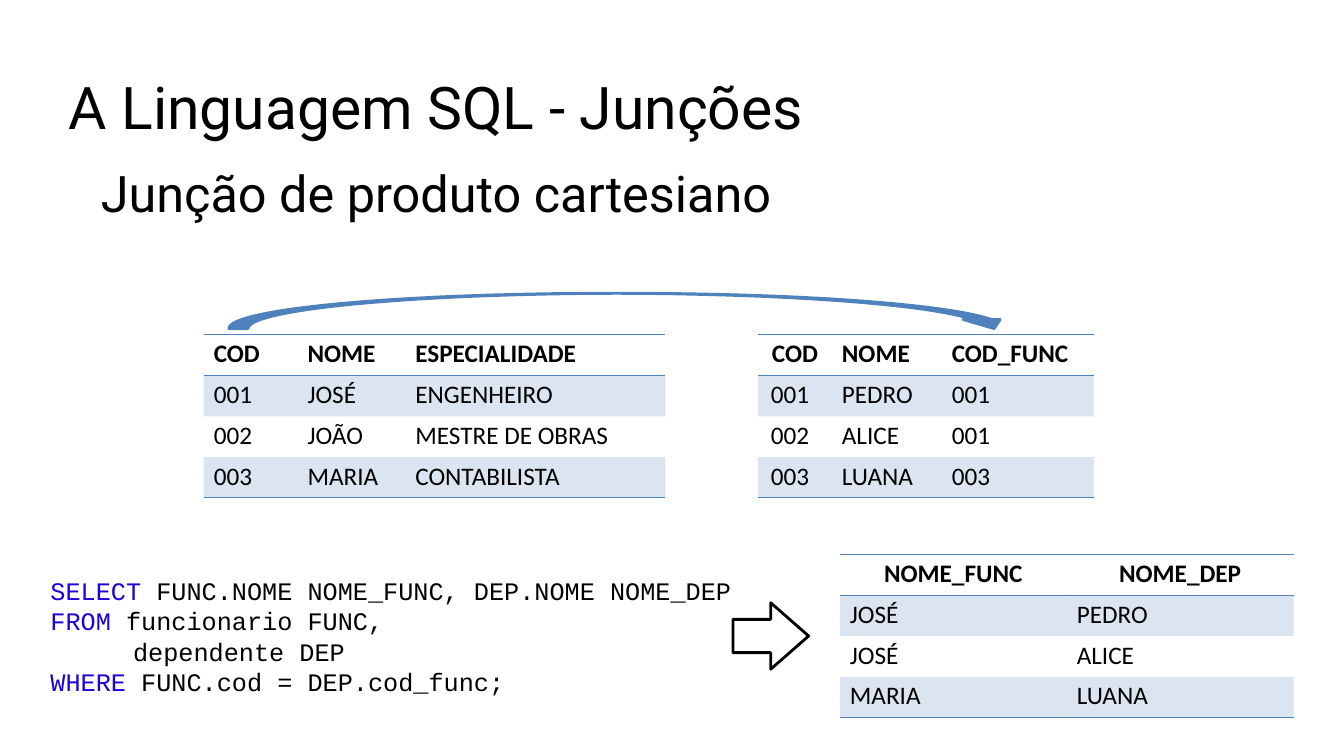
"""Builds the slide on SQL joins with its two source tables, query and result."""
import math
from lxml import etree
from pptx import Presentation
from pptx import util as u
from pptx.dml.color import RGBColor
from pptx.enum import shapes, text
from pptx.oxml import parse_xml
from pptx.oxml.ns import nsdecls, qn

TITLE = "Junção de produto cartesiano"
TOPIC = "A Linguagem SQL - Junções"
QUERY = [
    (0.01, "SELECT", " FUNC.NOME NOME_FUNC, DEP.NOME NOME_DEP"),
    (0.01, "FROM", " funcionario FUNC,"),
    (0.83, "", "dependente DEP"),
    (0.01, "WHERE", " FUNC.cod = DEP.cod_func;"),
]
TABLES = [
    dict(at=(2.02, 3.32), cols=(0.93, 1.07, 2.58), centred_cols=(), centred_head=False, rows=[
        ("COD", "NOME", "ESPECIALIDADE"),
        ("001", "JOSÉ", "ENGENHEIRO"),
        ("002", "JOÃO", "MESTRE DE OBRAS"),
        ("003", "MARIA", "CONTABILISTA")]),
    dict(at=(7.52, 3.32), cols=(0.73, 1.09, 1.51), centred_cols=(0,), centred_head=False, rows=[
        ("COD", "NOME", "COD_FUNC"),
        ("001", "PEDRO", "001"),
        ("002", "ALICE", "001"),
        ("003", "LUANA", "003")]),
    dict(at=(8.33, 5.5), cols=(2.25, 2.25), centred_cols=(), centred_head=True, rows=[
        ("NOME_FUNC", "NOME_DEP"),
        ("JOSÉ", "PEDRO"),
        ("JOSÉ", "ALICE"),
        ("MARIA", "LUANA")]),
]
THEME = dict(
    ink="000000", accent="4F81BD", keyword="1B01DD", paper="FFFFFF", band_alpha=20,
    title=("Roboto", 36), topic=("Roboto", 42), code=("Courier New", 18), cell=("Calibri", 18),
)
COLUMNS, ROWS = 13.33, 7.5
TABLE_HEIGHT = 1.62
ARC = dict(left=2.27, top=2.91, base=3.26, radius=3.75, shift=0.19, stop=15, step=3)
ARC_TIP = [(9.92, 3.17), (9.86, 3.26), (9.55, 3.17)]

prs = Presentation()
prs.slide_width, prs.slide_height = u.Inches(COLUMNS), u.Inches(ROWS)
slide = prs.slides.add_slide(prs.slide_layouts[5])


def put(obj, **values):
    for name, value in values.items():
        setattr(obj, name, value)


def grid(*cells):
    return [u.Inches(c) for c in cells]


def add_run(p, words, font, colour=THEME["ink"], bold=False):
    r = p.add_run()
    r.text = words
    put(r.font, name=font[0], size=u.Pt(font[1]), bold=bold)
    r.font.color.rgb = RGBColor.from_string(colour)


def set_paragraph(p, before=0, indent=0, align=text.PP_ALIGN.LEFT):
    put(p, alignment=align, space_before=u.Pt(before))
    p._p.get_or_add_pPr().set("marL", str(u.Inches(indent)))
    p._p.get_or_add_pPr().set("indent", "0")


def frame(sp, left, top, width, height):
    box = grid(left, top, width, height)
    put(sp, **dict(zip(("left", "top", "width", "height"), box)))
    tf = sp.text_frame
    put(tf, word_wrap=True, auto_size=text.MSO_AUTO_SIZE.NONE,
        vertical_anchor=text.MSO_ANCHOR.TOP, margin_left=0, margin_right=0,
        margin_top=u.Inches(0.01), margin_bottom=0)
    return tf


def paint(sp, fill, line):
    sp.shadow.inherit = False
    sp.fill.solid()
    sp.fill.fore_color.rgb = RGBColor.from_string(fill)
    sp.line.color.rgb = RGBColor.from_string(line)
    sp.line.width = u.Pt(2)


def set_borders(cell, ruled):
    rule = f'<a:solidFill><a:srgbClr val="{THEME["accent"]}"/></a:solidFill><a:prstDash val="solid"/>'
    for i, side in enumerate(("lnL", "lnR", "lnT", "lnB")):
        inner = rule if side in ruled else "<a:noFill/>"
        cell._tc.get_or_add_tcPr().insert(i, parse_xml(
            f'<a:{side} {nsdecls("a")} w="12700">{inner}</a:{side}>'))


def shade(cell, banded):
    if not banded:
        cell.fill.background()
        return
    cell.fill.solid()
    cell.fill.fore_color.rgb = RGBColor.from_string(THEME["accent"])
    colour = cell._tc.tcPr.find(".//" + qn("a:srgbClr"))
    etree.SubElement(colour, qn("a:alpha"), val=str(THEME["band_alpha"] * 1000))


def add_table(at, cols, centred_cols, centred_head, rows):
    box = grid(*at, sum(cols), TABLE_HEIGHT)
    table = slide.shapes.add_table(len(rows), len(cols), *box).table
    put(table, first_row=False, horz_banding=False)
    style = table._tbl.tblPr.find(qn("a:tableStyleId"))
    style.text = "{2D5ABB26-0587-4C30-8999-92F81FD0307C}"
    ruled = {0: ("lnT", "lnB"), 1: ("lnT",), len(rows) - 1: ("lnB",)}
    for column, width in zip(table.columns, cols):
        column.width = u.Inches(width)
    for i, row in enumerate(rows):
        table.rows[i].height = u.Inches(TABLE_HEIGHT / len(rows))
        for j, words in enumerate(row):
            cell = table.cell(i, j)
            inset = 0.1 if i and j in centred_cols else 0
            put(cell, margin_left=0, margin_right=u.Inches(inset),
                margin_top=u.Inches(0.04), margin_bottom=0)
            p = cell.text_frame.paragraphs[0]
            if j in centred_cols or (centred_head and i == 0):
                set_paragraph(p, 2.7, align=text.PP_ALIGN.CENTER)
            else:
                set_paragraph(p, 2.7, 0.1)
            add_run(p, words, THEME["cell"], bold=i == 0)
            shade(cell, i % 2 == 1)
            set_borders(cell, ruled.get(i, ()))


def arc(centre, start, end):
    step = ARC["step"] if end > start else -ARC["step"]
    rise = ARC["base"] - ARC["top"]
    return [(centre + ARC["radius"] * math.cos(math.radians(a)),
             ARC["base"] - rise * math.sin(math.radians(a)))
            for a in range(start, end + step, step)]


def add_join_arrow():
    first = ARC["left"] + ARC["radius"]
    second = first + ARC["shift"]
    outline = (arc(first, 180, 90) + arc(second, 90, ARC["stop"]) + ARC_TIP
               + arc(first, ARC["stop"], 90) + arc(second, 90, 180))
    points = [grid(*point) for point in outline]
    builder = slide.shapes.build_freeform(*points[0])
    builder.add_line_segments(points[1:], close=True)
    paint(builder.convert_to_shape(), THEME["accent"], THEME["accent"])


def add_result_arrow():
    sp = slide.shapes.add_shape(shapes.MSO_SHAPE.RIGHT_ARROW, *grid(7.27, 5.98, 0.75, 0.66))
    sp.adjustments[0], sp.adjustments[1] = 0.5, 0.57
    paint(sp, THEME["paper"], THEME["ink"])


def add_heading(sp, box, words, font):
    p = frame(sp, *box).paragraphs[0]
    set_paragraph(p, 1.1, 0.01)
    add_run(p, words, font)


def add_query():
    tf = frame(slide.shapes.add_textbox(0, 0, 0, 0), 0.49, 5.7, 7.25, 1.22)
    for i, (indent, keyword, rest) in enumerate(QUERY):
        p = tf.add_paragraph() if i else tf.paragraphs[0]
        set_paragraph(p, 0 if i else 0.9, indent)
        if keyword:
            add_run(p, keyword, THEME["code"], THEME["keyword"])
        add_run(p, rest, THEME["code"])


add_join_arrow()
for content in TABLES:
    add_table(**content)
add_query()
add_result_arrow()
add_heading(slide.shapes.title, (0.99, 1.6, 8.42, 0.62), TITLE, THEME["title"])
add_heading(slide.shapes.add_textbox(0, 0, 0, 0), (0.67, 0.69, 8.74, 0.72), TOPIC, THEME["topic"])
prs.save("out.pptx")
